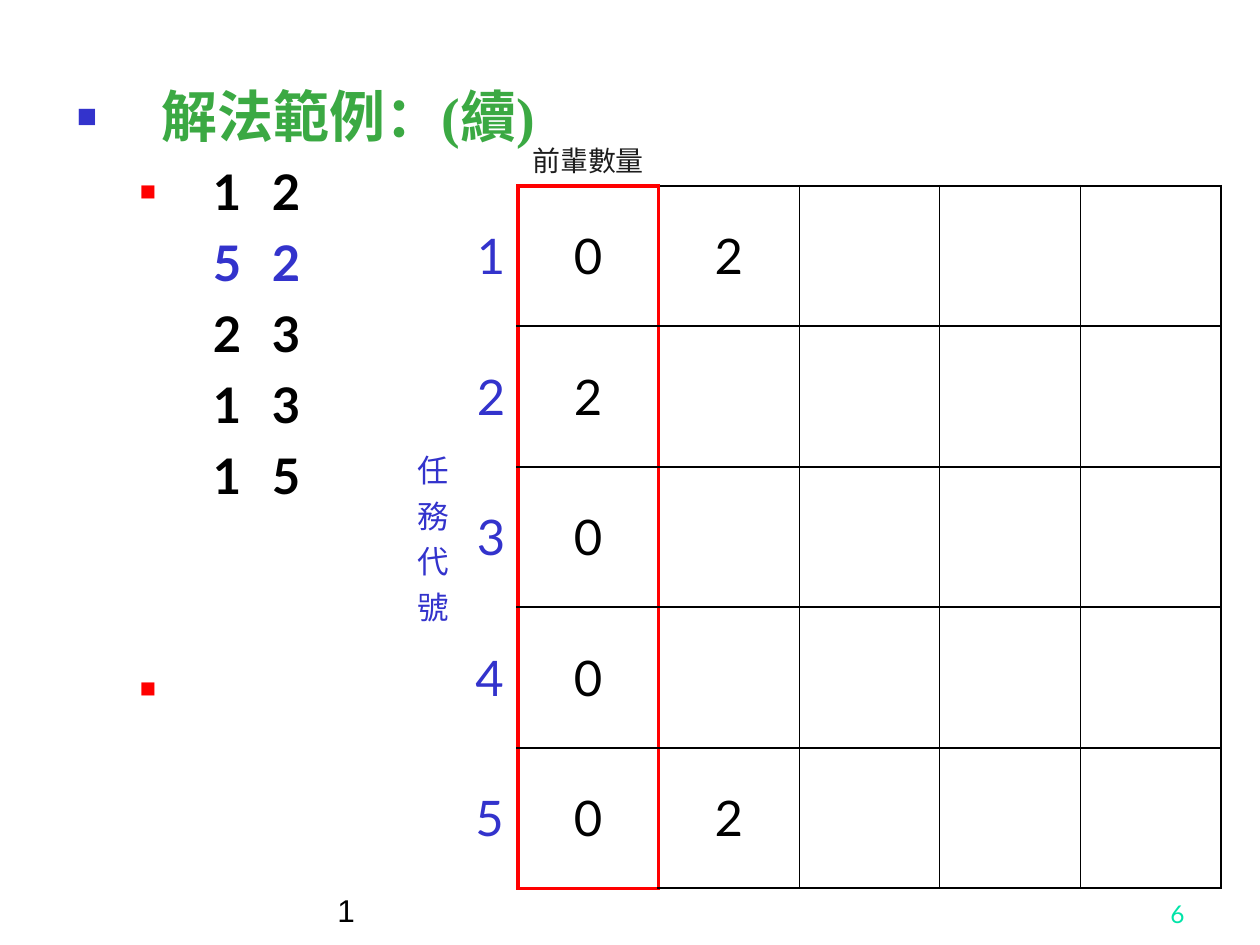
from lxml.etree import SubElement
from pptx import Presentation
from pptx.dml.color import RGBColor
from pptx.enum.text import MSO_ANCHOR, MSO_AUTO_SIZE, PP_ALIGN
from pptx.oxml.ns import qn
from pptx.util import Inches, Pt

BLACK = RGBColor(0x00, 0x00, 0x00)
CHARCOAL = RGBColor(0x1C, 0x1C, 0x1C)
BLUE = RGBColor(0x33, 0x33, 0xCC)
RED = RGBColor(0xFF, 0x00, 0x00)
GREEN = RGBColor(0x3B, 0xA9, 0x43)
MINT = RGBColor(0x00, 0xE4, 0xA8)

PLAIN_TABLE = "{2D5ABB26-0587-4C30-8999-92F81FD0307C}"
PAIRS = [("1 2", BLACK), ("5 2", BLUE), ("2 3", BLACK), ("1 3", BLACK), ("1 5", BLACK)]
TASKS = [["0", "2"], ["2"], ["0"], ["0"], ["0", "2"]]
LABEL_WIDTHS = [0.47, 0.45]
COLUMNS, ROWS = 7, 6


def vertical_line(row, edge):
    """Return the colour and width of a vertical table edge."""
    if row == 0 or edge < 2:
        return None
    if edge in (2, 3):
        return RED, 2.21
    return BLACK, 1.08 if edge == COLUMNS else 0.45


def horizontal_line(column, edge):
    """Return the colour and width of a horizontal table edge."""
    if edge == 0 or column < 2:
        return None
    if edge in (1, ROWS):
        return (RED, 2.21) if column == 2 else (BLACK, 1.08)
    return BLACK, 1.47


class SlideBuilder:
    """Holds the style and the current slide."""

    font_name = "Lato"

    def __init__(self, deck):
        self.slide = deck.slides.add_slide(deck.slide_layouts[1])
        title = self.slide.shapes.title.element
        title.getparent().remove(title)

    def add_span(self, para, text, size, color, **extra):
        span = para.add_run()
        span.text = text
        values = {"name": self.font_name, "size": Pt(size), "bold": False, **extra}
        for name, value in values.items():
            setattr(span.font, name, value)
        span.font.color.rgb = color
        return span

    def indent(self, para, margin, hanging=0, bullet=None, percent=100):
        properties = para._p.get_or_add_pPr()
        properties.set("marL", str(Inches(margin)))
        properties.set("indent", str(-Inches(hanging)))
        if bullet is None:
            SubElement(properties, qn("a:buNone"))
            return
        color = SubElement(properties, qn("a:buClr"))
        SubElement(color, qn("a:srgbClr"), val=str(bullet))
        SubElement(properties, qn("a:buSzPct"), val=str(percent * 1000))
        SubElement(properties, qn("a:buFont"), typeface="Arial")
        SubElement(properties, qn("a:buChar"), char="■")

    def body(self, left, top, width, height):
        box = self.slide.placeholders[1]
        lengths = {"left": left, "top": top, "width": width, "height": height}
        for name, value in lengths.items():
            setattr(box, name, Inches(value))
        frame = box.text_frame
        frame.auto_size = MSO_AUTO_SIZE.NONE
        return frame

    def sub_item(self, frame, text, color, space=7, **bullet):
        para = frame.add_paragraph()
        para.level = 1
        self.indent(para, 1.08, **bullet)
        para.space_before = Pt(space)
        span = self.add_span(para, text, 28, color, bold=True)
        span._r.get_or_add_rPr().set("spc", "540")

    def text(self, left, top, width, height, text, size, color, align, **extra):
        box = self.slide.shapes.add_textbox(*map(Inches, (left, top, width, height)))
        frame = box.text_frame
        frame.word_wrap = True
        frame.vertical_anchor = MSO_ANCHOR.BOTTOM
        para = frame.paragraphs[0]
        para.alignment = align
        self.add_span(para, text, size, color, **extra)

    def table(self, left, top, width, height):
        frame = self.slide.shapes.add_table(
            ROWS, COLUMNS, *map(Inches, (left, top, width, height)))
        table = frame.table
        table.first_row = table.horz_banding = False
        table._tbl.tblPr.find(qn("a:tableStyleId")).text = PLAIN_TABLE
        data_width = (width - sum(LABEL_WIDTHS)) / (COLUMNS - len(LABEL_WIDTHS))
        widths = LABEL_WIDTHS + [data_width] * (COLUMNS - len(LABEL_WIDTHS))
        for column, column_width in zip(table.columns, widths):
            column.width = Inches(column_width)
        for row in range(ROWS):
            for column in range(COLUMNS):
                self.borders(table.cell(row, column), row, column)
        table.cell(0, 4).merge(table.cell(0, 6))
        table.cell(1, 0).merge(table.cell(5, 0))
        return table

    def borders(self, cell, row, column):
        properties = cell._tc.get_or_add_tcPr()
        lines = {
            "a:lnL": vertical_line(row, column),
            "a:lnR": vertical_line(row, column + 1),
            "a:lnT": horizontal_line(column, row),
            "a:lnB": horizontal_line(column, row + 1),
        }
        for tag, line in lines.items():
            if line:
                color, width = line
                edge = SubElement(properties, qn(tag), w=str(Pt(width)))
                fill = SubElement(edge, qn("a:solidFill"))
                SubElement(fill, qn("a:srgbClr"), val=str(color))
        cell.fill.background()

    def cell_text(self, cell, text, size, color,
                  align=PP_ALIGN.CENTER, anchor=MSO_ANCHOR.MIDDLE):
        cell.vertical_anchor = anchor
        para = cell.text_frame.paragraphs[0]
        para.alignment = align
        self.add_span(para, text, size, color)


def main():
    """Build the task order slide."""
    deck = Presentation()
    deck.slide_width, deck.slide_height = Inches(10), Inches(7.5)
    page = SlideBuilder(deck)

    frame = page.body(0.51, 0.6, 8.98, 6.38)
    heading = frame.paragraphs[0]
    page.indent(heading, 0.67, 0.67, BLUE, 60)
    heading.space_before = Pt(0)
    page.add_span(heading, "解法範例：(續)", 32, GREEN, name="Times New Roman", bold=True)
    red_bullet = {"hanging": 0.58, "bullet": RED, "percent": 55}
    for index, (pair, color) in enumerate(PAIRS):
        page.sub_item(frame, pair, color, **({} if index else red_bullet))
    page.sub_item(frame, " ", BLACK, space=88, **red_bullet)

    table = page.table(3.19, 0.36, 6.5, 6.69)
    page.cell_text(table.cell(0, 2), "前輩數量", 16, CHARCOAL, anchor=MSO_ANCHOR.BOTTOM)
    page.cell_text(table.cell(1, 0), "任務代號", 18, BLUE, PP_ALIGN.RIGHT)
    for number, values in enumerate(TASKS, 1):
        align = PP_ALIGN.RIGHT if number < 4 else PP_ALIGN.CENTER
        page.cell_text(table.cell(number, 1), str(number), 28, BLUE, align)
        for column, value in enumerate(values, 2):
            page.cell_text(table.cell(number, column), value, 28, BLACK)

    page.text(2.58, 6.92, 5.42, 0.5, "1", 18, BLACK, PP_ALIGN.LEFT, name="Arial")
    page.text(7.42, 6.92, 2.08, 0.5, "6", 14, MINT, PP_ALIGN.RIGHT)
    deck.save("out.pptx")


if __name__ == "__main__":
    main()
